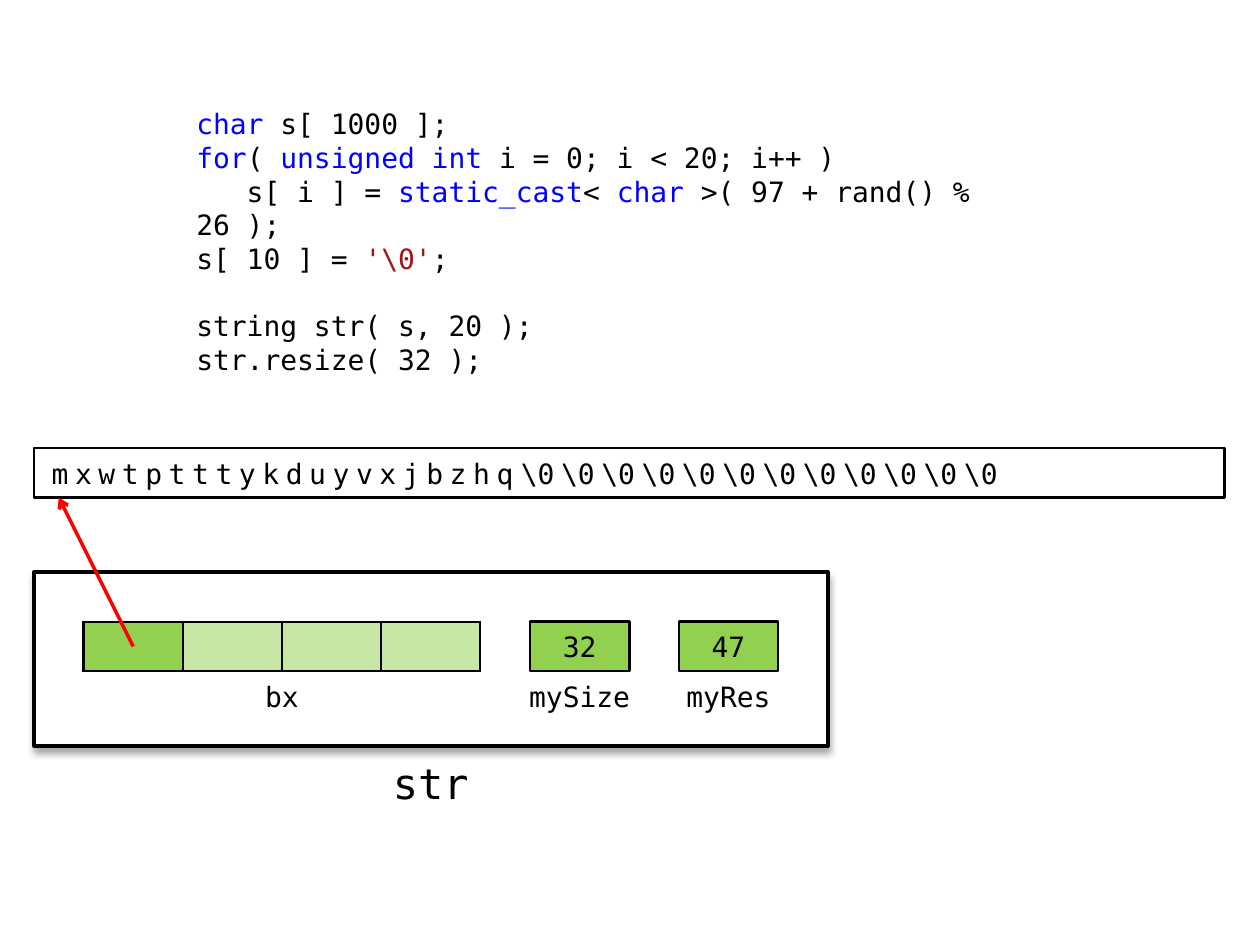
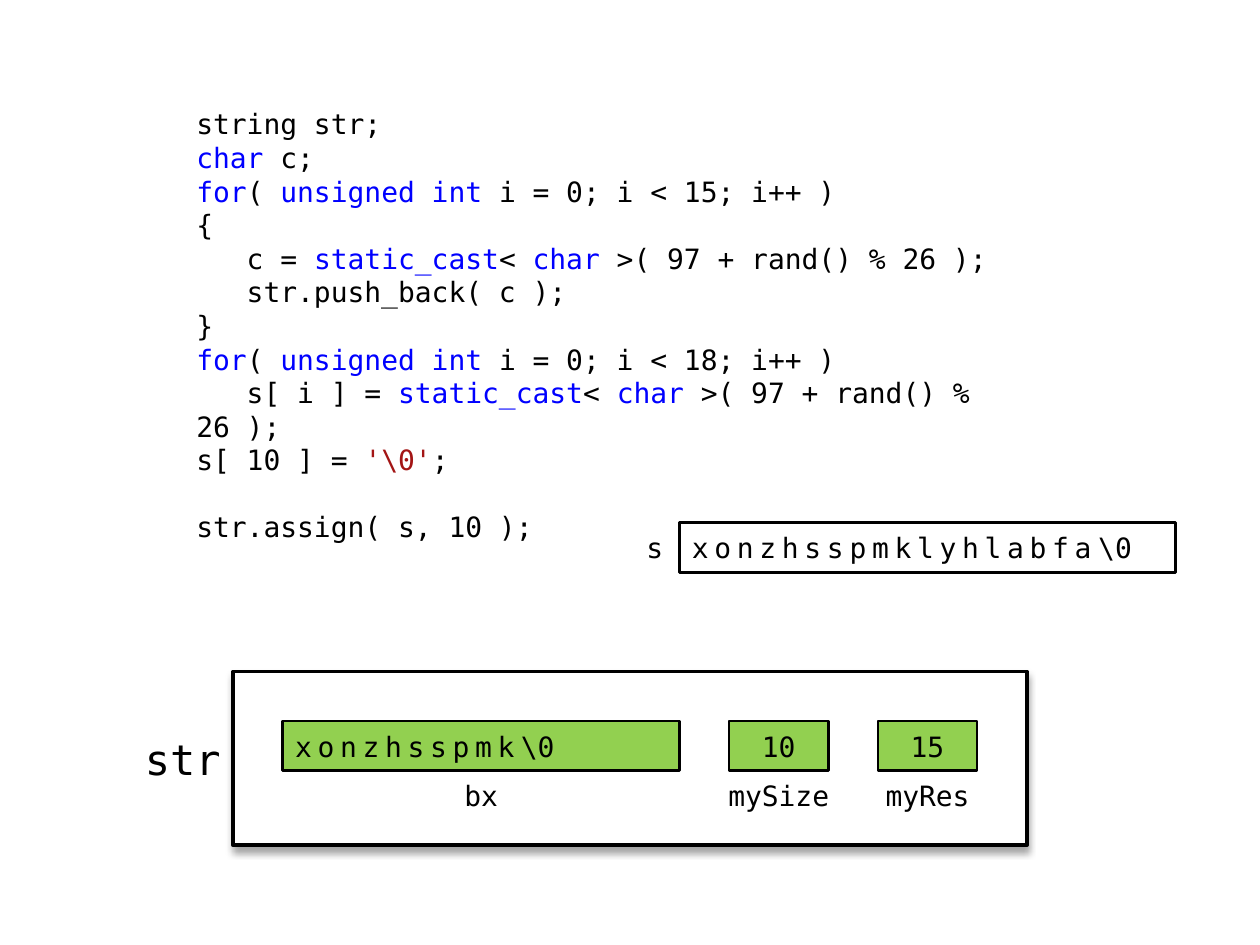
from pptx import Presentation
from pptx.dml.color import RGBColor
from pptx.enum.shapes import MSO_CONNECTOR, MSO_SHAPE
from pptx.enum.text import MSO_ANCHOR, PP_ALIGN
from pptx.oxml import parse_xml
from pptx.oxml.ns import nsdecls, qn
from pptx.util import Inches, Pt

COLORS = {
    "ink": "000000",
    "paper": "FFFFFF",
    "key": "0000FF",
    "quote": "A31515",
    "cell": "92D050",
    "arrow": "FF0000",
}
FONT = "DejaVu Sans Mono"
UNIT = 1 / 2.54  # diagrams sit on a grid of one centimetre
LEADING = Pt(19.2)

# Backticks enclose the coloured words.
RESIZE_CODE = r"""`char` s[ 1000 ];
`for`( `unsigned int `i = 0; i < 20; i++ )
   s[ i ] = `static_cast`< `char` >( 97 + rand() % 26 );
s[ 10 ] = `'\0'`;

string str( s, 20 );
str.resize( 32 );"""

ASSIGN_CODE = r"""string str;
`char` c;
`for`( `unsigned int `i = 0; i < 15; i++ )
{
   c = `static_cast`< `char` >( 97 + rand() % 26 );
   str.push_back( c );
}
`for`( `unsigned int `i = 0; i < 18; i++ )
   s[ i ] = `static_cast`< `char` >( 97 + rand() % 26 );
s[ 10 ] = `'\0'`;

str.assign( s, 10 );"""


def rgb(name):
    return RGBColor.from_string(COLORS[name])


def place(org, spot):
    """Turn a spot in grid units, measured from org in inches, into lengths."""
    x, y, *size = spot
    return [Inches(org[0] + x * UNIT), Inches(org[1] + y * UNIT),
            *(Inches(side * UNIT) for side in size)]


def add_run(para, text, color="ink", size=16, gap=None):
    run = para.add_run()
    run.text = text
    run.font.name = FONT
    run.font.size = Pt(size)
    run.font.color.rgb = rgb(color)
    if gap is not None:
        run.font._element.set("spc", str(round(gap * 100)))


def add_code(slide, code, height):
    box = slide.shapes.add_textbox(Inches(1.46), Inches(0.8),
                                   Inches(7.09), Inches(height))
    frame = box.text_frame
    frame.word_wrap = True
    para, blank = frame.paragraphs[0], False
    for row, line in enumerate(code.split("\n")):
        if not line:
            blank = True
            continue
        if row:
            para = frame.add_paragraph()
        para.line_spacing = LEADING
        if blank:
            para.space_before = LEADING
            blank = False
        for i, part in enumerate(line.split("`")):
            if part:
                tint = "quote" if part.startswith("'") else "key"
                add_run(para, part, tint if i % 2 else "ink")


def add_label(slide, org, spot, text, size=16, align=PP_ALIGN.CENTER):
    frame = slide.shapes.add_textbox(*place(org, spot)).text_frame
    frame.word_wrap = True
    frame.vertical_anchor = MSO_ANCHOR.MIDDLE
    para = frame.paragraphs[0]
    para.alignment = align
    add_run(para, text, size=size)


def add_box(slide, org, spot, fill, width=1.5, kind=MSO_SHAPE.RECTANGLE):
    box = slide.shapes.add_shape(kind, *place(org, spot))
    box.shadow.inherit = False
    box.fill.solid()
    box.fill.fore_color.rgb = rgb(fill)
    box.line.color.rgb = rgb("ink")
    box.line.width = Pt(width)
    box.text_frame.vertical_anchor = MSO_ANCHOR.MIDDLE
    return box


def add_chars(slide, org, spot, fill, text, nulls, gap, inset=0.1):
    """Draw a buffer: spaced letters, then the given number of nulls."""
    frame = add_box(slide, org, spot, fill).text_frame
    frame.margin_left = Inches(inset)
    para = frame.paragraphs[0]
    para.alignment = PP_ALIGN.LEFT
    add_run(para, text, gap=gap)
    for left in reversed(range(nulls)):
        add_run(para, "\\", gap=-1.5)
        add_run(para, "0", gap=gap if left else 0)


def add_panel(slide, org, size, res):
    """Draw the string object with its two counters and all field names."""
    panel = add_box(slide, org, (0, 0, 16, 3.5), "paper", 2.25,
                    MSO_SHAPE.FLOWCHART_PROCESS)
    glow = panel._element.spPr.find(qn("a:effectLst"))
    glow.append(parse_xml(
        f'<a:outerShdw {nsdecls("a")} blurRad="{Pt(4)}" dist="{Pt(3)}" '
        f'dir="5400000" rotWithShape="0"><a:srgbClr val="{COLORS["ink"]}">'
        '<a:alpha val="35000"/></a:srgbClr></a:outerShdw>'))
    add_label(slide, org, (4, 2, 2, 1), "bx")
    for x, name, value in ((10, "mySize", size), (13, "myRes", res)):
        cell = add_box(slide, org, (x, 1, 2, 1), "cell")
        para = cell.text_frame.paragraphs[0]
        para.alignment = PP_ALIGN.CENTER
        add_run(para, str(value))
        add_label(slide, org, (x - 0.5, 2, 3, 1), name)


def add_edge(cell, side, width):
    cell._tc.get_or_add_tcPr().append(parse_xml(
        f'<a:ln{side} {nsdecls("a")} w="{Pt(width)}"><a:solidFill>'
        f'<a:srgbClr val="{COLORS["ink"]}"/></a:solidFill></a:ln{side}>'))


def add_bytes(slide, org, spot, count):
    """Draw the pointer field: the first cell in use, the others pale."""
    frame = slide.shapes.add_table(1, count, *place(org, spot))
    table = frame.table
    table.first_row = table.horz_banding = False
    for i in range(count):
        cell = table.cell(0, i)
        cell.text_frame.paragraphs[0].font.size = Pt(16)
        add_edge(cell, "L", 1 if i else 1.5)
        add_edge(cell, "R", 1 if i < count - 1 else 1.5)
        add_edge(cell, "T", 1.5)
        add_edge(cell, "B", 1.5)
        cell.fill.solid()
        cell.fill.fore_color.rgb = rgb("cell")
        if i:
            tint = cell._tc.tcPr.find(qn("a:solidFill"))[0]
            tint.append(parse_xml(f'<a:alpha {nsdecls("a")} val="50000"/>'))


def add_arrow(slide, org, start, end):
    line = slide.shapes.add_connector(MSO_CONNECTOR.STRAIGHT,
                                      *place(org, start), *place(org, end))
    line.line.color.rgb = rgb("arrow")
    line.line.width = Pt(2)
    line.line._get_or_add_ln().append(
        parse_xml(f'<a:tailEnd {nsdecls("a")} type="arrow"/>'))
    line._element.spPr.append(parse_xml(f'<a:effectLst {nsdecls("a")}/>'))


def draw_resize(slide):
    org = (0.27, 4.54)
    add_code(slide, RESIZE_CODE, 1.97)
    add_label(slide, org, (6.5, 3.5, 3, 1.5), "str", 24)
    add_panel(slide, org, 32, 47)
    add_bytes(slide, org, (1, 1, 8, 1), 4)
    add_chars(slide, org, (0, -2.5, 24, 1), "paper",
              "mxwtptttykduyvxjbzhq", 12, 3.8, 0.14)
    add_arrow(slide, org, (2, 1.5), (0.5, -1.5))


def draw_assign(slide):
    org = (1.85, 5.33)
    add_code(slide, ASSIGN_CODE, 3.35)
    add_chars(slide, org, (9, -3, 10, 1), "paper",
              "xonzhsspmklyhlabfa", 1, 3.3)
    add_label(slide, org, (8, -3, 1, 1), "s")
    add_label(slide, org, (-2.5, 1, 2.5, 1.5), "str", 24, PP_ALIGN.RIGHT)
    add_panel(slide, org, 10, 15)
    add_chars(slide, org, (1, 1, 8, 1), "cell", "xonzhsspmk", 1, 3.3)


def main():
    deck = Presentation()
    deck.slide_width = Inches(10)
    deck.slide_height = Inches(7.5)
    for draw in (draw_resize, draw_assign):
        draw(deck.slides.add_slide(deck.slide_layouts[6]))
    deck.save("out.pptx")


if __name__ == "__main__":
    main()
